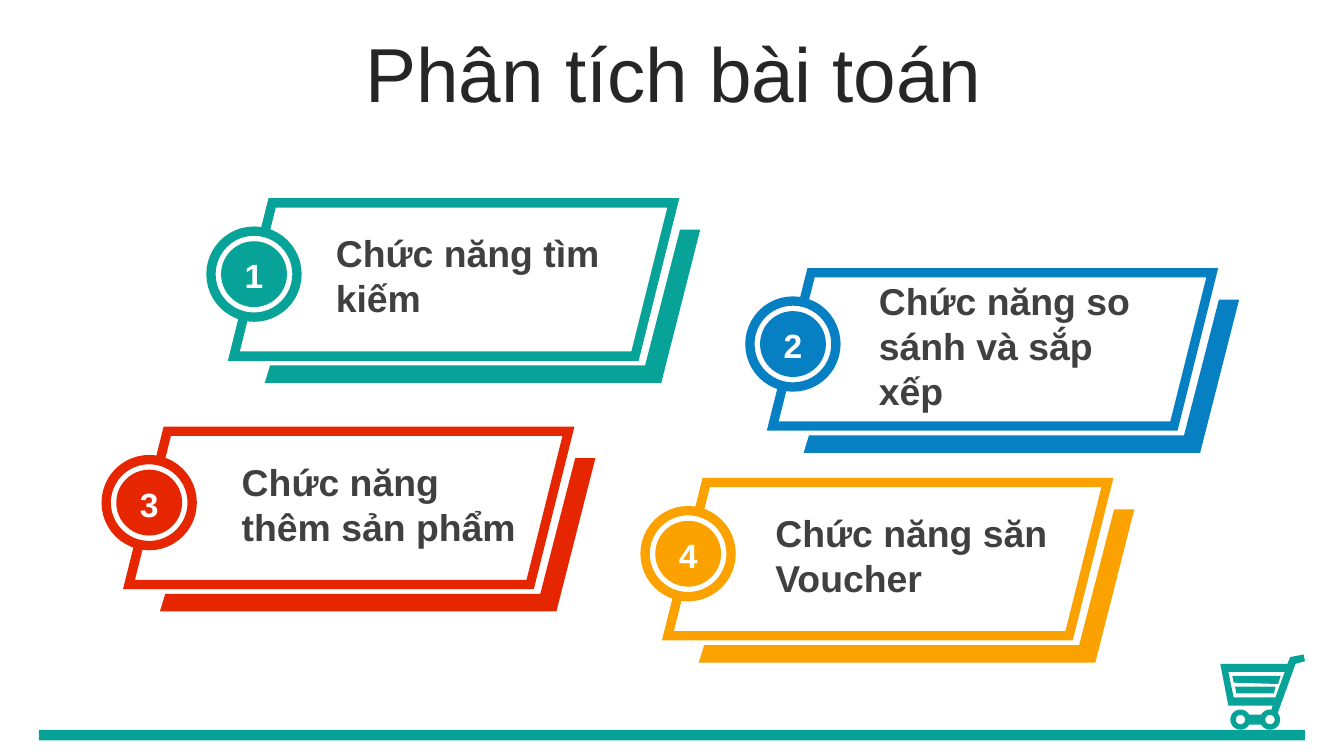
import math
from dataclasses import dataclass

import pptx
import pptx.util
from lxml import etree
from pptx.dml.color import RGBColor
from pptx.enum.shapes import MSO_SHAPE
from pptx.enum.text import MSO_ANCHOR, MSO_AUTO_SIZE, PP_ALIGN
from pptx.oxml.ns import qn

In, Pt = pptx.util.Inches, pptx.util.Pt


@dataclass(frozen=True)
class Theme:
    font: str = "Arial"
    teal: str = "07A398"
    blue: str = "0680C3"
    red: str = "E62601"
    amber: str = "FBA200"
    white: str = "FFFFFF"
    title: str = "262626"
    label: str = "404040"
    title_size: int = 41
    label_size: int = 20
    number_size: int = 18
    border: int = 5


T = Theme()
W = 10
H = W * 9 / 16
TITLE = "Phân tích bài toán"
# number, label, lines it takes, label indent, column, row, top, colour
CARDS = [
    ("1", "Chức năng tìm kiếm", 2, 0.66, 0, 0, 1.51, T.teal),
    ("2", "Chức năng so sánh và sắp xếp", 3, 0.69, 1, 0, 2.03, T.blue),
    ("3", "Chức năng thêm sản phẩm", 2, 0.74, 0, 1, 3.21, T.red),
    ("4", "Chức năng săn Voucher", 2, 0.70, 1, 1, 3.59, T.amber),
]
CARD_LEFT, COLUMN_STEP, ROW_SHIFT = 1.74, 4.01, -0.78
CARD_W, CARD_H = 3.27, 1.14
LABEL_W, LINE_H, LABEL_PAD = 2.31, 0.335, 0.1
BADGE, DISC = 0.64, 0.49
# lower-right edge band, relative to the card's corner
EDGE = [(3.32, 0.2), (3.47, 0.2), (3.18, 1.34), (0.23, 1.34), (0.27, 1.21), (3.06, 1.21)]


def rgb(value):
    return RGBColor.from_string(value)


def paint(sp, fill, line=None):
    sp.shadow.inherit = False
    sp.fill.solid()
    sp.fill.fore_color.rgb = rgb(fill)
    if line:
        sp.line.color.rgb = rgb(line)
        sp.line.width = Pt(T.border)
        ln = sp.element.spPr.find(qn("a:ln"))
        etree.SubElement(ln, qn("a:miter")).set("lim", "800000")
    else:
        sp.line.fill.background()


def shape(shapes, kind, x, y, w, h, fill, line=None):
    paint(shapes.add_shape(kind, In(x), In(y), In(w), In(h)), fill, line)


def outline(shapes, contours, fill):
    """Draw closed contours as one shape; inner contours become holes."""
    first, *rest = [[(In(x), In(y)) for x, y in points] for points in contours]
    fb = shapes.build_freeform(*first[0])
    fb.add_line_segments(first[1:], close=True)
    for points in rest:
        fb.move_to(*points[0])
        fb.add_line_segments(points[1:], close=True)
    paint(fb.convert_to_shape(), fill)


def write(sp, text, size, color, bold=False, align=PP_ALIGN.LEFT, anchor=MSO_ANCHOR.MIDDLE):
    tf = sp.text_frame
    tf.word_wrap = True
    tf.auto_size = MSO_AUTO_SIZE.NONE
    tf.vertical_anchor = anchor
    p = tf.paragraphs[0]
    p.alignment = align
    r = p.add_run()
    r.text = text
    r.font.name, r.font.size, r.font.bold = T.font, Pt(size), bold
    r.font.color.rgb = rgb(color)
    return tf


def arc(center, radius, start, end, steps=24):
    cx, cy = center
    angles = [math.radians(start + (end - start) * i / steps) for i in range(steps + 1)]
    return [(cx + radius * math.cos(a), cy + radius * math.sin(a)) for a in angles]


def cart(shapes):
    left, right = (9.23, 5.355), (9.45, 5.355)
    body = [(9.7, 4.87), (9.6, 4.89), (9.58, 4.94), (9.08, 4.94), (9.14, 5.25),
            (9.47, 5.25), (9.46, 5.28)]
    body += arc(right, 0.075, -90, -150) + arc(left, 0.075, -30, -330)
    body += arc(right, 0.075, 150, -40) + [(9.64, 4.94), (9.71, 4.92)]
    basket = [(9.56, 5), (9.49, 5.19), (9.18, 5.19), (9.14, 5)]
    bars = [[(9.17, 5.03), (9.18, 5.08), (9.51, 5.09), (9.53, 5.03)],
            [(9.19, 5.11), (9.2, 5.16), (9.48, 5.16), (9.49, 5.11)]]
    hubs = [arc(c, 0.035, 0, 345, 23) for c in (left, right)]
    outline(shapes, [body, basket, *bars, *hubs], T.teal)


def card(s, number, label, lines, indent, column, row, y, color):
    x = CARD_LEFT + COLUMN_STEP * column + ROW_SHIFT * row
    panel = s.shapes.add_group_shape().shapes
    shape(panel, MSO_SHAPE.PARALLELOGRAM, x, y, CARD_W, CARD_H, T.white, color)
    outline(panel, [[(x + dx, y + dy) for dx, dy in EDGE]], color)

    h = LINE_H * lines + LABEL_PAD
    top = y + (CARD_H - h) / 2 - 0.03
    box = s.shapes.add_textbox(In(x + indent), In(top), In(LABEL_W), In(h))
    write(box, label, T.label_size, T.label, bold=True)

    badge = s.shapes.add_group_shape().shapes
    bx, by, gap = x - 0.17, y + 0.21, (BADGE - DISC) / 2
    shape(badge, MSO_SHAPE.OVAL, bx, by, BADGE, BADGE, T.white, color)
    shape(badge, MSO_SHAPE.OVAL, bx + gap, by + gap, DISC, DISC, color)
    box = badge.add_textbox(In(bx + 0.085), In(by + 0.13), In(0.47), In(0.4))
    tf = write(box, number, T.number_size, T.white, True, PP_ALIGN.CENTER, MSO_ANCHOR.TOP)
    tf.margin_left = tf.margin_right = In(0.12)


def main():
    prs = pptx.Presentation()
    prs.slide_width, prs.slide_height = In(W), In(H)
    s = prs.slides.add_slide(prs.slide_layouts[5])

    title = s.shapes.title
    title.left, title.top, title.width, title.height = In(0.27), In(0.28), In(9.49), In(0.59)
    tf = write(title, TITLE, T.title_size, T.title, align=PP_ALIGN.CENTER)
    tf.margin_left = tf.margin_right = In(0.07)
    tf.margin_top = tf.margin_bottom = In(0.04)
    tf.paragraphs[0].line_spacing = 0.9

    cart(s.shapes)
    margin = 0.29
    shape(s.shapes, MSO_SHAPE.RECTANGLE, margin, 5.43, W - 2 * margin, 0.08, T.teal)
    for item in CARDS:
        card(s, *item)
    prs.save("out.pptx")


if __name__ == "__main__":
    main()
